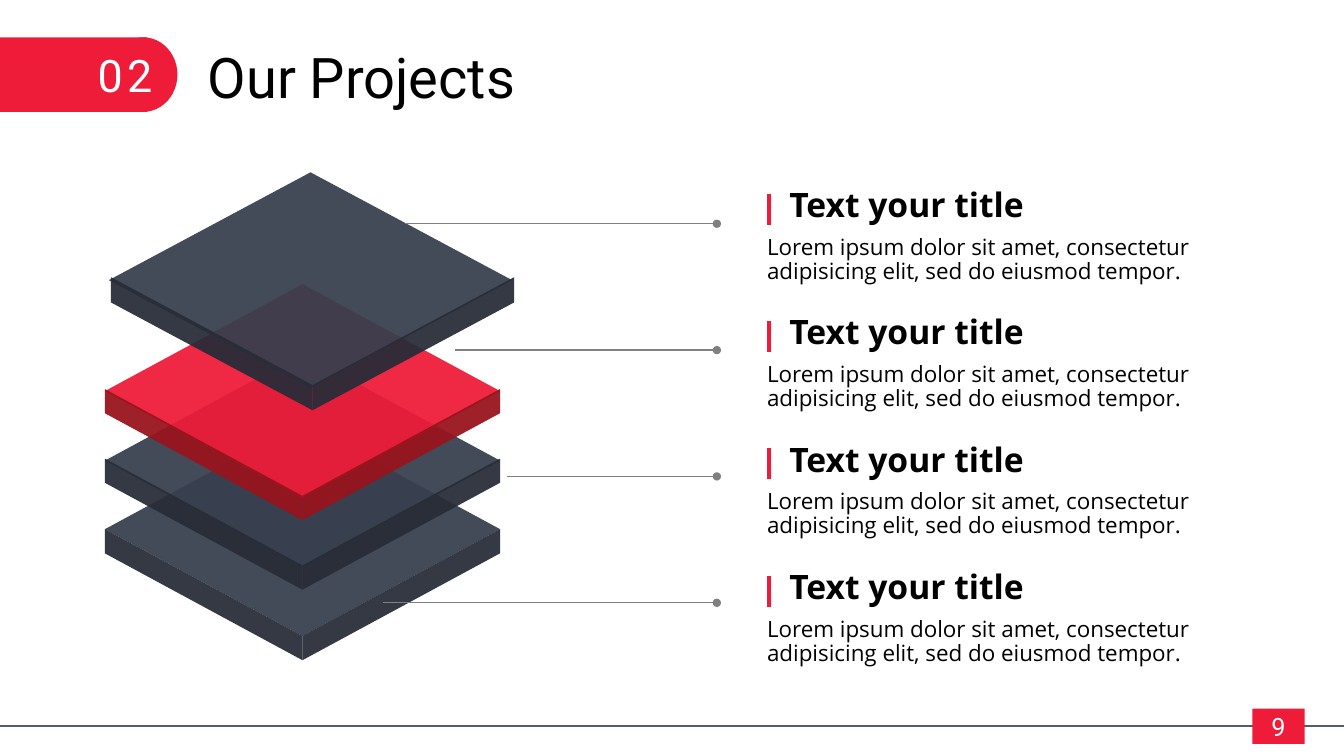
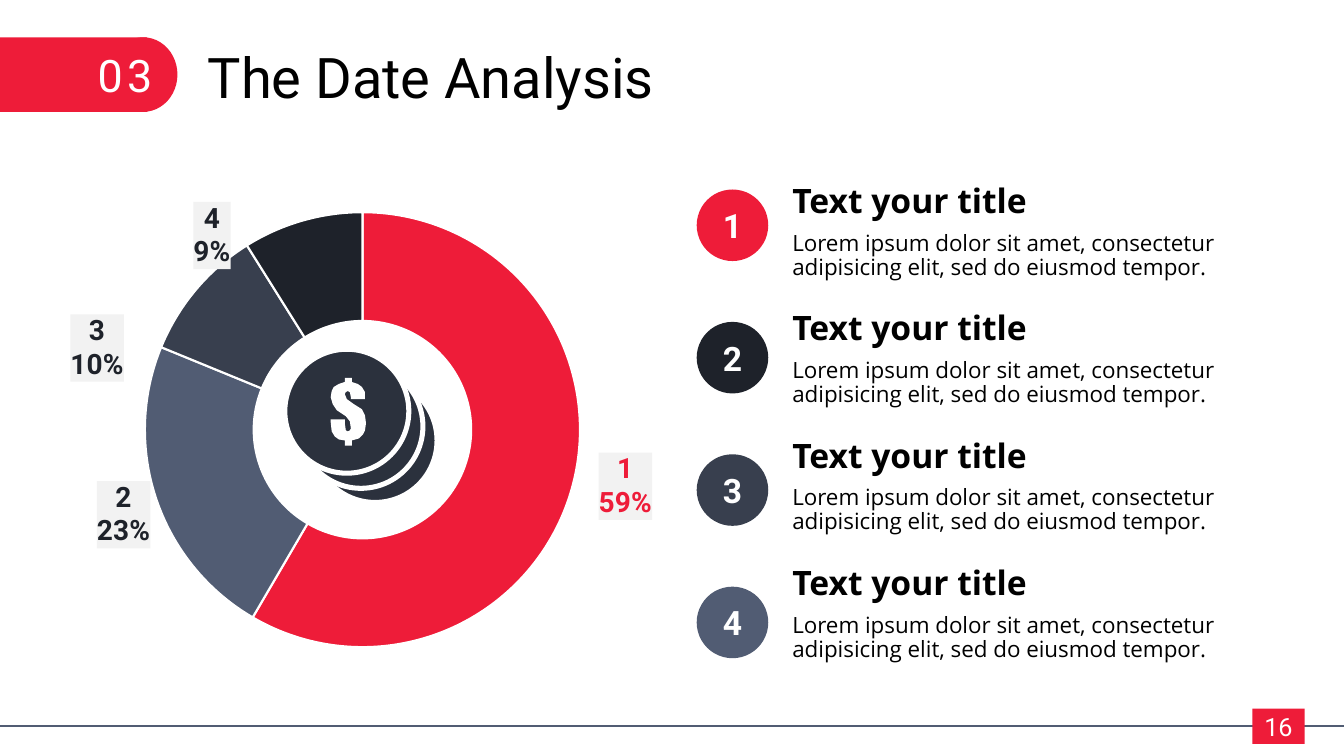
from dataclasses import dataclass

from lxml import etree
from pptx import Presentation
from pptx.chart.data import CategoryChartData
from pptx.dml.color import RGBColor
from pptx.enum.chart import XL_CHART_TYPE
from pptx.enum.shapes import MSO_CONNECTOR, MSO_SHAPE
from pptx.enum.text import MSO_ANCHOR, MSO_AUTO_SIZE, PP_ALIGN
from pptx.oxml import parse_xml
from pptx.oxml.ns import nsdecls, qn
from pptx.util import Inches, Pt

RECT, OVAL = MSO_SHAPE.RECTANGLE, MSO_SHAPE.OVAL
STRAIGHT = MSO_CONNECTOR.STRAIGHT
DOUGHNUT = XL_CHART_TYPE.DOUGHNUT
LEFT, CENTER = PP_ALIGN.LEFT, PP_ALIGN.CENTER
TOP, MIDDLE = MSO_ANCHOR.TOP, MSO_ANCHOR.MIDDLE
NO_AUTOFIT = MSO_AUTO_SIZE.NONE
TITLE_ONLY = 5


@dataclass(frozen=True)
class Theme:
    red: str = "EE1C39"
    dark_red: str = "98141D"
    ink: str = "1E222A"
    navy: str = "383F4E"
    slate: str = "515C73"
    edge: str = "282D38"
    coin: str = "2B313D"
    grey: str = "808080"
    label_back: str = "F2F2F2"
    white: str = "FFFFFF"
    black: str = "000000"
    display: str = "Roboto"
    body: str = "Open Sans"
    title_size: int = 40
    section_size: int = 32
    heading_size: int = 24
    label_size: int = 20
    page_size: int = 18
    text_size: int = 16
    chart_size: int = 10


THEME = Theme()


@dataclass(frozen=True)
class Layer:
    """A slab: a rhombic top face and two side faces below its middle."""
    center: float
    top: float
    half_width: float
    half_height: float
    side_center: float
    side_top: float
    thickness: float
    face: str
    side: str


LAYERS = [  # bottom to top
    Layer(3, 4.19, 1.96, 1.06, 3, 5.25, 0.24, THEME.navy, THEME.edge),
    Layer(3, 3.51, 1.96, 1.06, 3, 4.55, 0.24, THEME.navy, THEME.edge),
    Layer(3, 2.82, 1.96, 1.06, 3, 3.86, 0.24, THEME.red, THEME.dark_red),
    Layer(3.08, 1.71, 2, 1.07, 3.1, 2.75, 0.25, THEME.navy, THEME.edge),
]
LAYER_OPACITY = 94
LEADER_STARTS = [4.02, 4.51, 5.03, 3.8]
LEADER_TOP, LEADER_STEP, LEADER_END = 2.22, 3.76 / 3, 7.11

ITEMS = [("Text your title", "Lorem ipsum dolor sit amet, consectetur "
          "adipisicing elit, sed do eiusmod tempor.")] * 4
ITEM_STEP = 3.79 / 3
BADGE_TOP, BADGE_STEP, BADGE_SIZE = 1.88, 3.94 / 3, 0.71
BADGE_COLORS = [THEME.red, THEME.ink, THEME.navy, THEME.slate]

# category, value, slice colour, label colour, label offset in chart fractions
SHARES = [
    ("1", 59, THEME.red, THEME.red, (0.15, 0.03)),
    ("2", 23, THEME.slate, THEME.ink, (-0.12, 0.07)),
    ("3", 10, THEME.navy, THEME.ink, (-0.2, 0.05)),
    ("4", 9, THEME.ink, THEME.ink, (-0.15, -0.08)),
]
COIN_CENTERS = [(3.72, 4.37), (3.58, 4.23), (3.44, 4.08)]
COIN_RADIUS, COIN_RIM = 0.59, 0.05
DOLLAR_OUTLINE = [
    (3.6, 4.31), (3.56, 4.35), (3.49, 4.37), (3.49, 4.42), (3.42, 4.42),
    (3.42, 4.37), (3.36, 4.36), (3.32, 4.33), (3.29, 4.28), (3.28, 4.19),
    (3.28, 4.16), (3.42, 4.16), (3.42, 4.2), (3.43, 4.27), (3.45, 4.28),
    (3.47, 4.27), (3.48, 4.25), (3.47, 4.18), (3.43, 4.13), (3.34, 4.07),
    (3.3, 4.01), (3.28, 3.94), (3.29, 3.88), (3.31, 3.84), (3.36, 3.81),
    (3.42, 3.79), (3.42, 3.75), (3.49, 3.75), (3.49, 3.79), (3.55, 3.81),
    (3.59, 3.84), (3.62, 3.89), (3.62, 3.96), (3.48, 3.96), (3.48, 3.94),
    (3.47, 3.89), (3.45, 3.88), (3.43, 3.89), (3.42, 3.91), (3.44, 3.96),
    (3.51, 4.01), (3.59, 4.06), (3.62, 4.12), (3.63, 4.2), (3.62, 4.27),
]


def rgb(color):
    return RGBColor.from_string(color)


def write(frame, text, size, font, color, bold=False, align=LEFT, spacing=1.0):
    frame.word_wrap = True
    frame.text = text
    paragraph = frame.paragraphs[0]
    paragraph.alignment = align
    paragraph.line_spacing = spacing
    run_font = paragraph.runs[0].font
    run_font.size, run_font.name, run_font.bold = Pt(size), font, bold
    run_font.color.rgb = rgb(color)
    return paragraph


def paint(shape, color):
    shape.shadow.inherit = False
    shape.fill.solid()
    shape.fill.fore_color.rgb = rgb(color)
    shape.line.fill.background()
    return shape


def add_block(slide, kind, left, top, width, height, color):
    return paint(slide.shapes.add_shape(
        kind, Inches(left), Inches(top), Inches(width), Inches(height)), color)


def add_numbered_block(slide, kind, box, color, number, size, bold=False):
    frame = add_block(slide, kind, *box, color).text_frame
    frame.margin_left = frame.margin_right = 0
    frame.vertical_anchor = MIDDLE
    write(frame, number, size, THEME.display, THEME.white, bold, CENTER)


def add_text(slide, left, top, width, height, text, *style, **options):
    box = slide.shapes.add_textbox(
        Inches(left), Inches(top), Inches(width), Inches(height))
    return write(box.text_frame, text, *style, **options)


def add_line(slide, start, end, color, width, dot_end=False):
    line = slide.shapes.add_connector(
        STRAIGHT, *(Inches(value) for value in (*start, *end)))
    line.line.color.rgb = rgb(color)
    line.line.width = Pt(width)
    properties = line.element.spPr
    if dot_end:
        etree.SubElement(properties.find(qn("a:ln")), qn("a:tailEnd"), type="oval")
    etree.SubElement(properties, qn("a:effectLst"))


def add_polygon(slide, points, color, opacity=100):
    first, *rest = [(Inches(x), Inches(y)) for x, y in points]
    builder = slide.shapes.build_freeform(*first)
    builder.add_line_segments(rest, close=True)
    polygon = paint(builder.convert_to_shape(), color)
    if opacity < 100:
        fill = polygon.element.spPr.find(qn("a:solidFill"))
        etree.SubElement(fill[0], qn("a:alpha"), val=str(opacity * 1000))


def add_framed_slide(deck, title, section, page):
    """Add a slide with the footer, section tab and title that all slides share."""
    slide = deck.slides.add_slide(deck.slide_layouts[TITLE_ONLY])
    add_line(slide, (-0.02, 7.2), (13.33, 7.2), THEME.slate, 1.5)
    add_block(slide, RECT, -0.02, 0.37, 1.48, 0.74, THEME.red)
    add_block(slide, OVAL, 1.08, 0.37, 0.68, 0.74, THEME.red)
    number = add_text(slide, 0.87, 0.42, 1.25, 0.64, section,
                      THEME.section_size, THEME.display, THEME.white)
    number.runs[0].font._element.set("spc", "300")
    add_numbered_block(slide, RECT, (12.42, 7.03, 0.52, 0.35), THEME.red,
                       page, THEME.page_size)
    heading = slide.shapes.title
    heading.left, heading.top = Inches(1.96), Inches(0.37)
    heading.width, heading.height = Inches(9.08), Inches(0.77)
    heading.text_frame.auto_size = NO_AUTOFIT
    heading.text_frame.vertical_anchor = TOP
    write(heading.text_frame, title, THEME.title_size, THEME.display, THEME.black)
    return slide


def add_items(slide, top, heading_left, text_left, with_bars=False):
    for index, (heading, text) in enumerate(ITEMS):
        y = top + index * ITEM_STEP
        add_text(slide, heading_left, y, 4.18, 0.5, heading, THEME.heading_size,
                 THEME.body, THEME.black, bold=True, spacing=0.9)
        if with_bars:
            bar = heading_left - 0.1
            add_line(slide, (bar, y + 0.1), (bar, y + 0.41), THEME.red, 3)
        add_text(slide, text_left, y + 0.47, 5.4, 0.64, text, THEME.text_size,
                 THEME.body, THEME.black, spacing=0.9)


def add_layer(slide, layer):
    x, middle = layer.center, layer.top + layer.half_height
    add_polygon(slide, [(x + layer.half_width, middle),
                        (x, middle + layer.half_height),
                        (x - layer.half_width, middle), (x, layer.top)],
                layer.face, LAYER_OPACITY)
    x, y = layer.side_center, layer.side_top
    for reach in (layer.half_width, -layer.half_width):
        low = y + layer.half_height
        add_polygon(slide, [(x + reach, y), (x, low), (x, low + layer.thickness),
                            (x + reach, y + layer.thickness)],
                    layer.side, LAYER_OPACITY)


def layout_xml(**settings):
    entries = "".join(f'<c:{key} val="{value}"/>' for key, value in settings.items())
    return (f"<c:layout {nsdecls('c')}><c:manualLayout>{entries}"
            "</c:manualLayout></c:layout>")


def share_labels():
    """Build the labels of all slices, each moved away from its slice."""
    def look(color):
        return (
            '<c:numFmt formatCode="0&quot;%&quot;" sourceLinked="0"/>'
            f'<c:spPr><a:solidFill><a:srgbClr val="{THEME.label_back}"/>'
            "</a:solidFill></c:spPr><c:txPr><a:bodyPr/><a:p><a:pPr>"
            f'<a:defRPr sz="{THEME.label_size * 100}" b="1"><a:solidFill>'
            f'<a:srgbClr val="{color}"/></a:solidFill>'
            f'<a:latin typeface="{THEME.display}"/></a:defRPr></a:pPr>'
            '<a:endParaRPr lang="en-US"/></a:p></c:txPr>'
            '<c:showLegendKey val="0"/><c:showVal val="1"/>'
            '<c:showCatName val="1"/><c:showSerName val="0"/>'
            '<c:showPercent val="0"/><c:showBubbleSize val="0"/>'
            "<c:separator>\n</c:separator>")

    labels = "".join(
        f'<c:dLbl><c:idx val="{index}"/>{layout_xml(x=x, y=y)}{look(color)}</c:dLbl>'
        for index, (*_, color, (x, y)) in enumerate(SHARES))
    return parse_xml(f"<c:dLbls {nsdecls('c', 'a')}>{labels}{look(THEME.ink)}"
                     '<c:showLeaderLines val="0"/></c:dLbls>')


def add_share_chart(slide):
    data = CategoryChartData()
    data.categories = [share[0] for share in SHARES]
    data.add_series("Series 1", [share[1] for share in SHARES])
    chart = slide.shapes.add_chart(DOUGHNUT, Inches(0.11), Inches(1.92),
                                   Inches(6.97), Inches(4.64), data).chart
    chart.has_legend = chart.has_title = False
    chart.font.size, chart.font.name = Pt(THEME.chart_size), THEME.body
    chart.font.color.rgb = rgb(THEME.black)
    plot = chart.plots[0]
    plot.vary_by_categories = True
    series = plot.series[0]
    for index, share in enumerate(SHARES):
        look = series.points[index].format
        look.fill.solid()
        look.fill.fore_color.rgb = rgb(share[2])
        look.line.color.rgb = rgb(THEME.white)
        look.line.width = Pt(1.5)
    area = chart.element.find(".//" + qn("c:plotArea"))
    area.find(".//" + qn("c:holeSize")).set("val", "70")
    area.find(".//" + qn("c:cat")).addprevious(share_labels())
    for automatic in area.findall(qn("c:layout")):
        area.remove(automatic)
    area.insert(0, parse_xml(layout_xml(
        layoutTarget="inner", xMode="edge", yMode="edge",
        x=0.19, y=0.04, w=0.62, h=0.93)))


def add_coins(slide):
    radius = COIN_RADIUS + COIN_RIM / 2
    for index, (x, y) in enumerate(COIN_CENTERS):
        coin = add_block(slide, OVAL, x - radius, y - radius,
                         2 * radius, 2 * radius, THEME.coin)
        coin.line.color.rgb = rgb(THEME.white)
        coin.line.width = Inches(COIN_RIM)
    add_polygon(slide, DOLLAR_OUTLINE, THEME.white)


def add_projects_slide(deck):
    slide = add_framed_slide(deck, "Our Projects", "02", "9")
    for layer in LAYERS:
        add_layer(slide, layer)
    for index, start in enumerate(LEADER_STARTS):
        y = LEADER_TOP + index * LEADER_STEP
        add_line(slide, (start, y), (LEADER_END, y), THEME.grey, 1, dot_end=True)
    add_items(slide, 1.82, 7.73, 7.51, with_bars=True)


def add_analysis_slide(deck):
    slide = add_framed_slide(deck, "The Date Analysis", "03", "16")
    add_share_chart(slide)
    add_coins(slide)
    add_items(slide, 1.78, 7.76, 7.76)
    for index, color in enumerate(BADGE_COLORS):
        box = (6.91, BADGE_TOP + index * BADGE_STEP, BADGE_SIZE, BADGE_SIZE)
        add_numbered_block(slide, OVAL, box, color, str(index + 1),
                           THEME.heading_size, bold=True)


def main():
    deck = Presentation()
    deck.slide_width, deck.slide_height = Inches(13.33), Inches(7.5)
    add_projects_slide(deck)
    add_analysis_slide(deck)
    deck.save("out.pptx")


if __name__ == "__main__":
    main()
